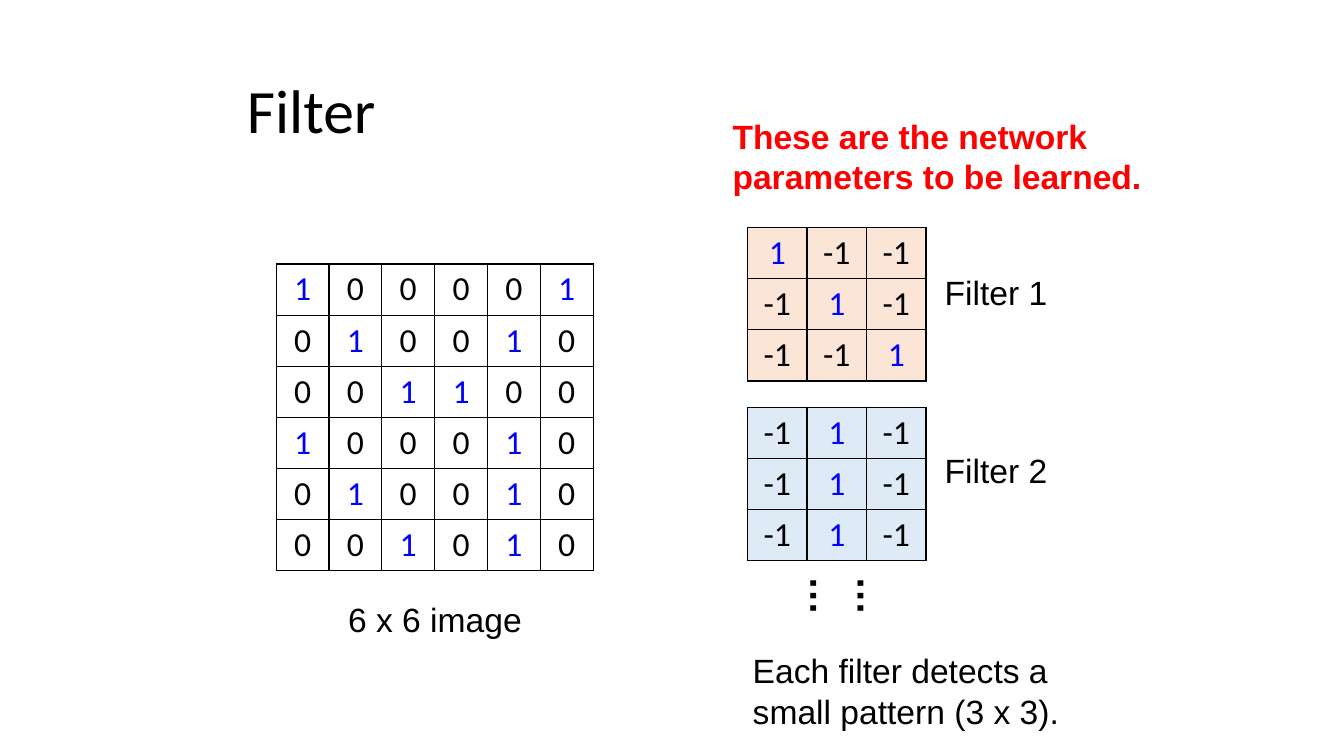
"""Build the slide on convolution filters: a 6 x 6 image and two 3 x 3 filters."""
import pptx
import pptx.dml.color
import pptx.enum.text
import pptx.oxml
import pptx.oxml.ns
import pptx.util

Pt = pptx.util.Pt
ALIGN = pptx.enum.text.PP_ALIGN
ANCHOR = pptx.enum.text.MSO_ANCHOR

BLACK, BLUE, RED = "000000", "0000FF", "FF0000"
GRID_STYLE = "{2D5ABB26-0587-4C30-8999-92F81FD0307C}"

IMAGE = [
    "1 0 0 0 0 1",
    "0 1 0 0 1 0",
    "0 0 1 1 0 0",
    "1 0 0 0 1 0",
    "0 1 0 0 1 0",
    "0 0 1 0 1 0",
]
DIAGONAL_FILTER = ["1 -1 -1", "-1 1 -1", "-1 -1 1"]
VERTICAL_FILTER = ["-1 1 -1"] * 3

# rows, left, top, column width, row height, fill
GRIDS = [
    (IMAGE, 197.3, 188.6, 37.75, 36.5, None),
    (DIAGONAL_FILTER, 534, 162.6, 42.5, 36, "FBE5D6"),
    (VERTICAL_FILTER, 534, 290.8, 42.5, 36, "DEEBF7"),
]

# text, (left, top, width, height), size, style
TEXTS = [
    ("Filter", (169.2, 28.8, 620.6, 104.4), 44,
     dict(font="Calibri", anchor=ANCHOR.MIDDLE, spacing=0.9)),
    ("6 x 6 image", (218.2, 424.1, 185, 36), 24, dict(align=ALIGN.CENTER)),
    ("Filter 1", (654.5, 190.8, 113.8, 36.7), 24, dict(align=ALIGN.CENTER)),
    ("Filter 2", (654.5, 317.5, 113.8, 36.7), 24, dict(align=ALIGN.CENTER)),
    ("……", (578.9, 395.3, 55.4, 74.9), 28, dict(bold=True, rotation=90)),
    ("These are the network parameters to be learned.",
     (516.2, 79.2, 311.8, 65.5), 24, dict(bold=True, color=RED)),
    ("Each filter detects a small pattern (3 x 3).",
     (530.6, 460.8, 280, 65.5), 24, {}),
]


def rgb(color):
    return pptx.dml.color.RGBColor.from_string(color)


def style_paragraph(paragraph, font, size, color, align, bold=False):
    paragraph.alignment = align
    paragraph.font.name = font
    paragraph.font.size = Pt(size)
    paragraph.font.bold = bold
    paragraph.font.color.rgb = rgb(color)


def add_text(slide, text, box, size, font="Arial", color=BLACK, bold=False,
             align=ALIGN.LEFT, anchor=ANCHOR.TOP, spacing=1.0, rotation=0):
    shape = slide.shapes.add_textbox(*map(Pt, box))
    shape.rotation = rotation
    frame = shape.text_frame
    frame.word_wrap = True
    frame.vertical_anchor = anchor
    frame.text = text
    paragraph = frame.paragraphs[0]
    paragraph.line_spacing = spacing
    style_paragraph(paragraph, font, size, color, align, bold)


def add_borders(cell):
    properties = cell._tc.get_or_add_tcPr()
    namespace = pptx.oxml.ns.nsdecls("a")
    for index, side in enumerate(("lnL", "lnR", "lnT", "lnB")):
        properties.insert(index, pptx.oxml.parse_xml(
            f'<a:{side} {namespace} w="{Pt(1)}"><a:solidFill>'
            f'<a:srgbClr val="{BLACK}"/></a:solidFill></a:{side}>'))


def add_grid(slide, rows, left, top, column_width, row_height, fill):
    values = [row.split() for row in rows]
    count = len(values[0])
    frame = slide.shapes.add_table(
        len(values), count, Pt(left), Pt(top),
        Pt(count * column_width), Pt(len(values) * row_height))
    table = frame.table
    table.first_row = table.horz_banding = False
    table._tbl.tblPr.find(pptx.oxml.ns.qn("a:tableStyleId")).text = GRID_STYLE
    for column in table.columns:
        column.width = Pt(column_width)
    for row, row_values in zip(table.rows, values):
        row.height = Pt(row_height)
        for cell, value in zip(row.cells, row_values):
            cell.text = value
            color = BLUE if value == "1" else BLACK
            style_paragraph(cell.text_frame.paragraphs[0], "Calibri", 24,
                            color, ALIGN.CENTER)
            if fill:
                cell.fill.solid()
                cell.fill.fore_color.rgb = rgb(fill)
            else:
                cell.fill.background()
            add_borders(cell)


def main():
    presentation = pptx.Presentation()
    presentation.slide_width = Pt(960)
    presentation.slide_height = Pt(540)
    slide = presentation.slides.add_slide(presentation.slide_layouts[6])
    for grid in GRIDS:
        add_grid(slide, *grid)
    for text, box, size, style in TEXTS:
        add_text(slide, text, box, size, **style)
    presentation.save("out.pptx")


if __name__ == "__main__":
    main()
